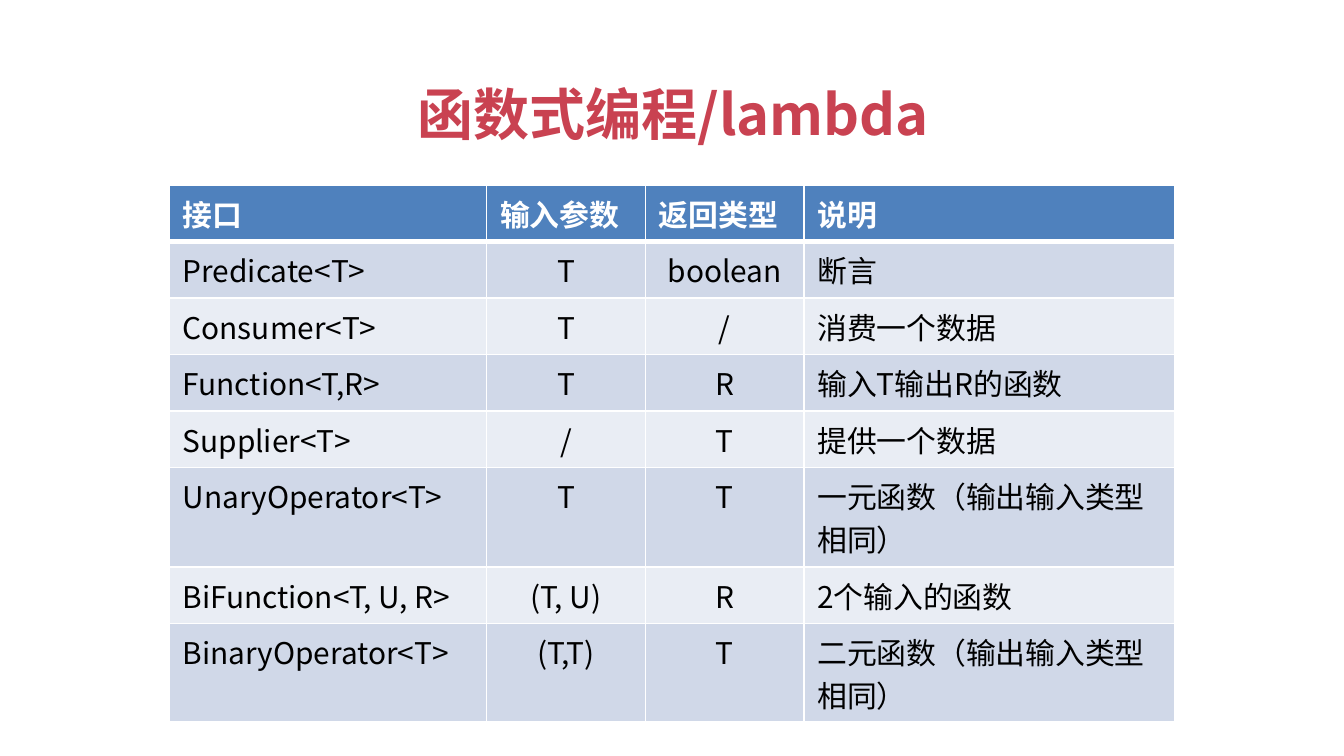
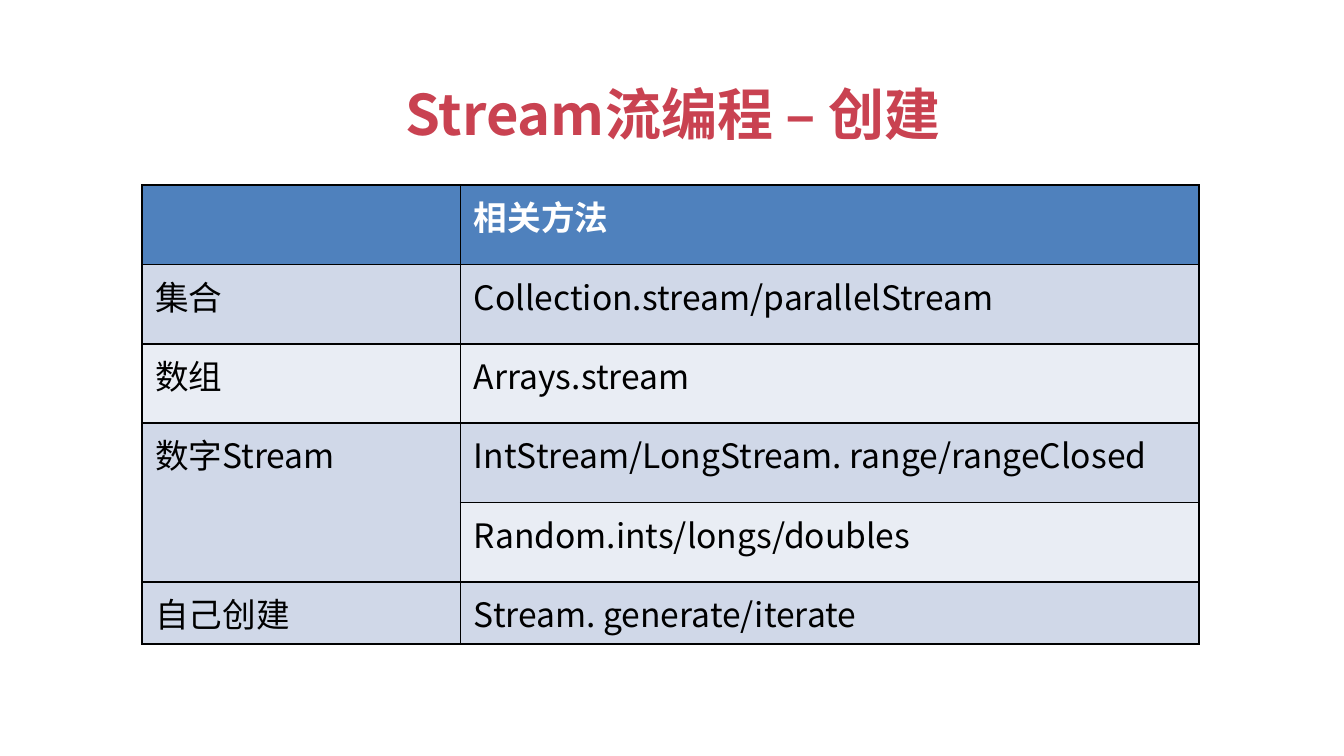
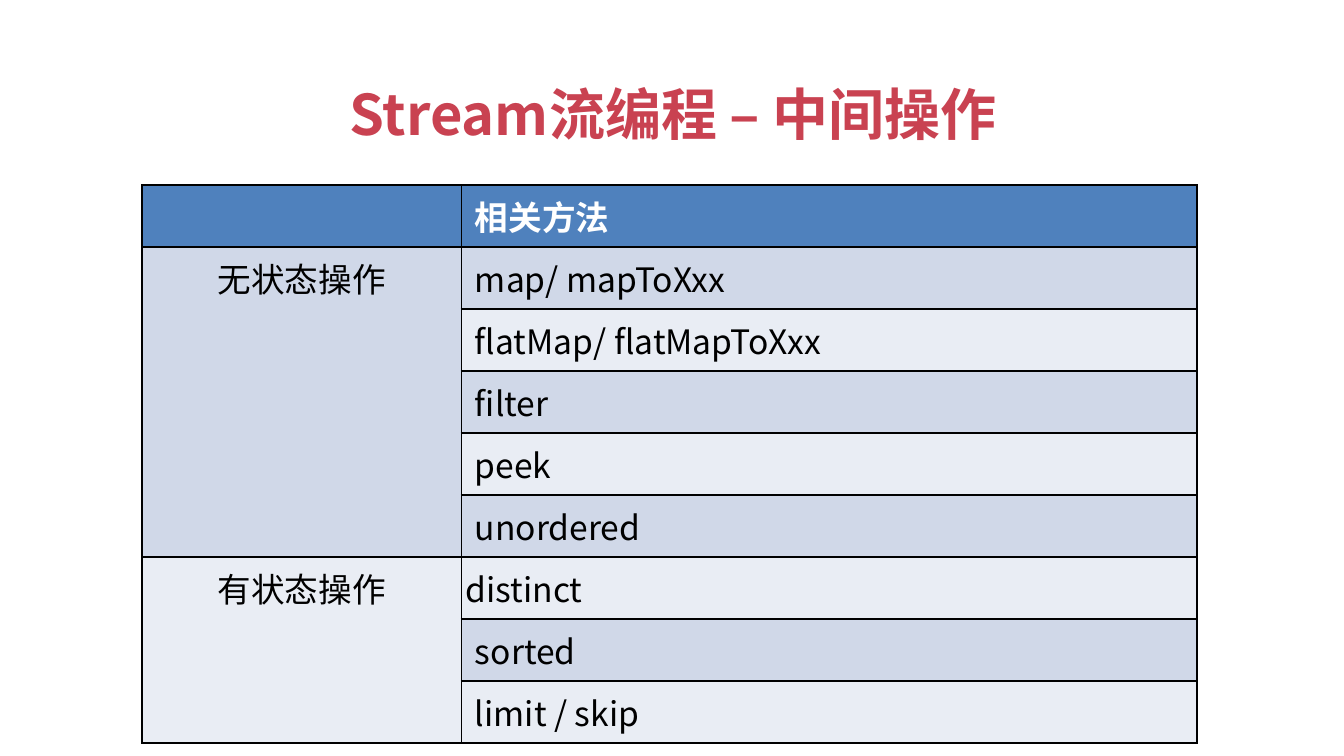
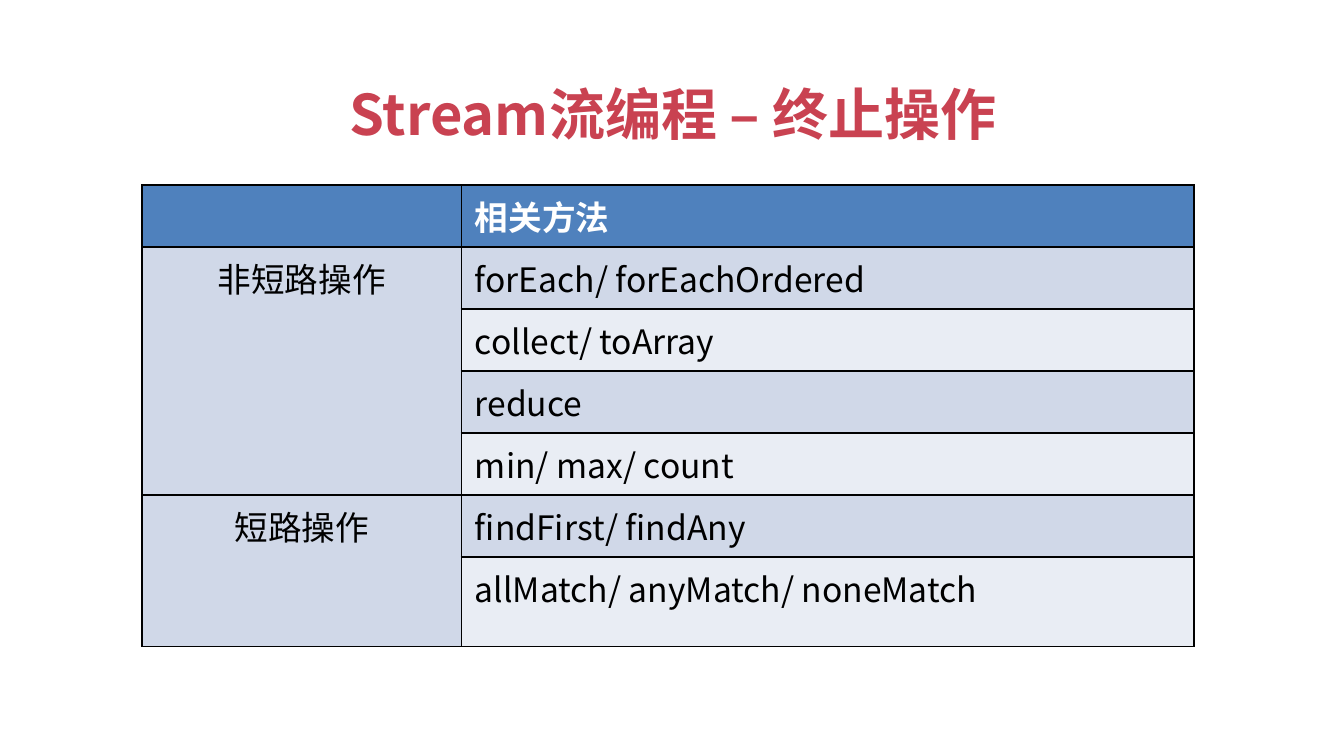
from lxml import etree
from pptx import Presentation
from pptx.dml.color import RGBColor
from pptx.enum.text import MSO_ANCHOR, PP_ALIGN
from pptx.oxml.ns import qn
from pptx.util import Pt

LEFT, CENTER = PP_ALIGN.LEFT, PP_ALIGN.CENTER
MIDDLE = MSO_ANCHOR.MIDDLE

FONT = "Noto Sans CJK SC"
RED, BLUE, DARK_BAND, LIGHT_BAND = "C94251", "4F81BD", "D0D8E8", "E9EDF4"
WHITE, BLACK = "FFFFFF", "000000"
TABLE_TOP = 99.25
THIN, THICK = 1, 3


def style(p, size, color, bold, align):
    """Set the font and alignment of one paragraph."""
    p.alignment = align
    p.font.name = FONT
    p.font.size = Pt(size)
    p.font.bold = bold
    p.font.color.rgb = RGBColor.from_string(color)
    rpr = p._p.pPr.find(qn("a:defRPr"))
    etree.SubElement(rpr, qn("a:ea"), typeface=FONT)


def border(cell, side, color, width):
    """Draw one side (L, R, T or B) of a cell."""
    ln = etree.SubElement(cell._tc.get_or_add_tcPr(), qn("a:ln" + side),
                          w=str(Pt(width)))
    fill = etree.SubElement(ln, qn("a:solidFill"))
    etree.SubElement(fill, qn("a:srgbClr"), val=color)


# A None cell belongs to the merged cell above it.
slides = [
    dict(title="函数式编程/lambda", left=90.75, size=16, line=WHITE,
         header_line=THICK, centered=(1, 2),
         cols=[170, 85, 85, 198.5],
         heights=[30.25] * 5 + [53.25, 30.25, 52.75],
         rows=[("接口", "输入参数", "返回类型", "说明"),
               ("Predicate<T>", "T", "boolean", "断言"),
               ("Consumer<T>", "T", "/", "消费一个数据"),
               ("Function<T,R>", "T", "R", "输入T输出R的函数"),
               ("Supplier<T>", "/", "T", "提供一个数据"),
               ("UnaryOperator<T>", "T", "T", "一元函数（输出输入类型相同）"),
               ("BiFunction<T, U, R>", "(T, U)", "R", "2个输入的函数"),
               ("BinaryOperator<T>", "(T,T)", "T", "二元函数（输出输入类型相同）")]),
    dict(title="Stream流编程 – 创建", left=76, size=18, line=BLACK,
         header_line=THIN, centered=(),
         cols=[170.75, 395.75], heights=[42.5] * 5 + [33.25],
         rows=[("", "相关方法"),
               ("集合", "Collection.stream/parallelStream"),
               ("数组", "Arrays.stream"),
               ("数字Stream", "IntStream/LongStream. range/rangeClosed"),
               (None, "Random.ints/longs/doubles"),
               ("自己创建", "Stream. generate/iterate")]),
    dict(title="Stream流编程 – 中间操作", left=76, size=18, line=BLACK,
         header_line=THIN, centered=(0,),
         cols=[171.25, 394], heights=[33.2] * 9,
         rows=[("", "相关方法"),
               ("无状态操作", "map/ mapToXxx"),
               (None, "flatMap/ flatMapToXxx"),
               (None, "filter"),
               (None, "peek"),
               (None, "unordered"),
               ("有状态操作", "distinct"),
               (None, "sorted"),
               (None, "limit / skip")]),
    dict(title="Stream流编程 – 终止操作", left=76, size=18, line=BLACK,
         header_line=THIN, centered=(0,),
         cols=[171.25, 392.5], heights=[33.2] * 6 + [48],
         rows=[("", "相关方法"),
               ("非短路操作", "forEach/ forEachOrdered"),
               (None, "collect/ toArray"),
               (None, "reduce"),
               (None, "min/ max/ count"),
               ("短路操作", "findFirst/ findAny"),
               (None, "allMatch/ anyMatch/ noneMatch")]),
]

prs = Presentation()
prs.slide_width, prs.slide_height = Pt(720), Pt(405)

for d in slides:
    s = prs.slides.add_slide(prs.slide_layouts[6])

    # Title
    tf = s.shapes.add_textbox(Pt(36.75), Pt(38), Pt(648), Pt(45.5)).text_frame
    tf.word_wrap = True
    tf.vertical_anchor = MIDDLE
    tf.margin_top = tf.margin_bottom = 0
    tf.text = d["title"]
    style(tf.paragraphs[0], 30, RED, True, CENTER)

    # Table
    rows, cols, heights = d["rows"], d["cols"], d["heights"]
    table = s.shapes.add_table(len(rows), len(cols), Pt(d["left"]), Pt(TABLE_TOP),
                               Pt(sum(cols)), Pt(sum(heights))).table
    for col, width in zip(table.columns, cols):
        col.width = Pt(width)
    for row, height in zip(table.rows, heights):
        row.height = Pt(height)

    for i, texts in enumerate(rows):
        header = i == 0
        band = BLUE if header else DARK_BAND if i % 2 else LIGHT_BAND
        top = d["header_line"] if i == 1 else THIN
        bottom = d["header_line"] if header else THIN
        for j, text in enumerate(texts):
            cell = table.cell(i, j)
            for side, width in zip("LRTB", (THIN, THIN, top, bottom)):
                border(cell, side, d["line"], width)
            cell.fill.solid()
            cell.fill.fore_color.rgb = RGBColor.from_string(band)
            cell.text = text or ""
            align = CENTER if j in d["centered"] and not header else LEFT
            style(cell.text_frame.paragraphs[0], d["size"],
                  WHITE if header else BLACK, header, align)
            if text == "distinct":
                cell.vertical_anchor = MIDDLE
                cell.margin_left = cell.margin_right = Pt(2.25)
                cell.margin_top = cell.margin_bottom = Pt(2.25)

    # Merge each first-column label with the None cells below it
    starts = [i for i, texts in enumerate(rows) if texts[0] is not None]
    for start, end in zip(starts, starts[1:] + [len(rows)]):
        if end - start > 1:
            table.cell(start, 0).merge(table.cell(end - 1, 0))

prs.save("out.pptx")
